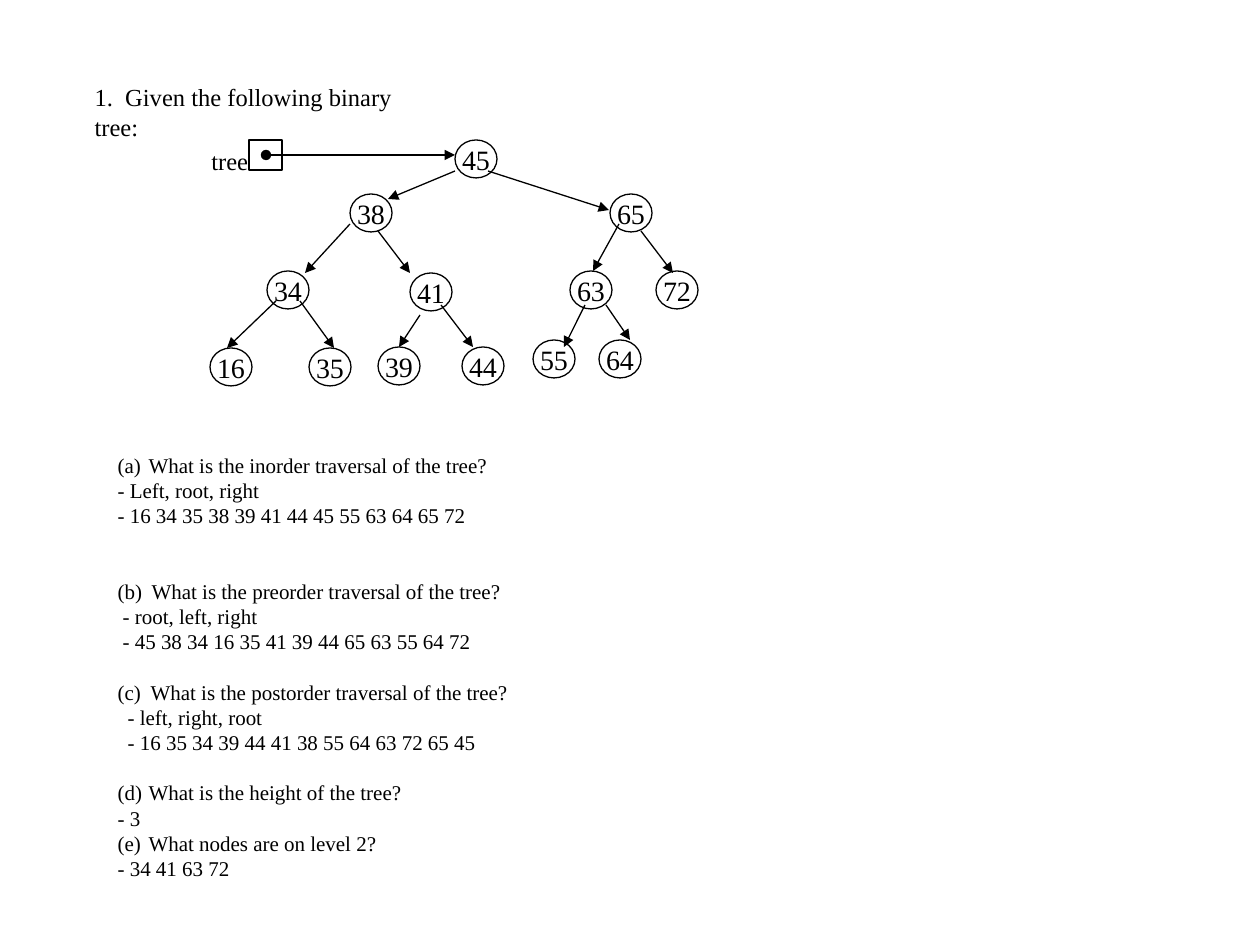
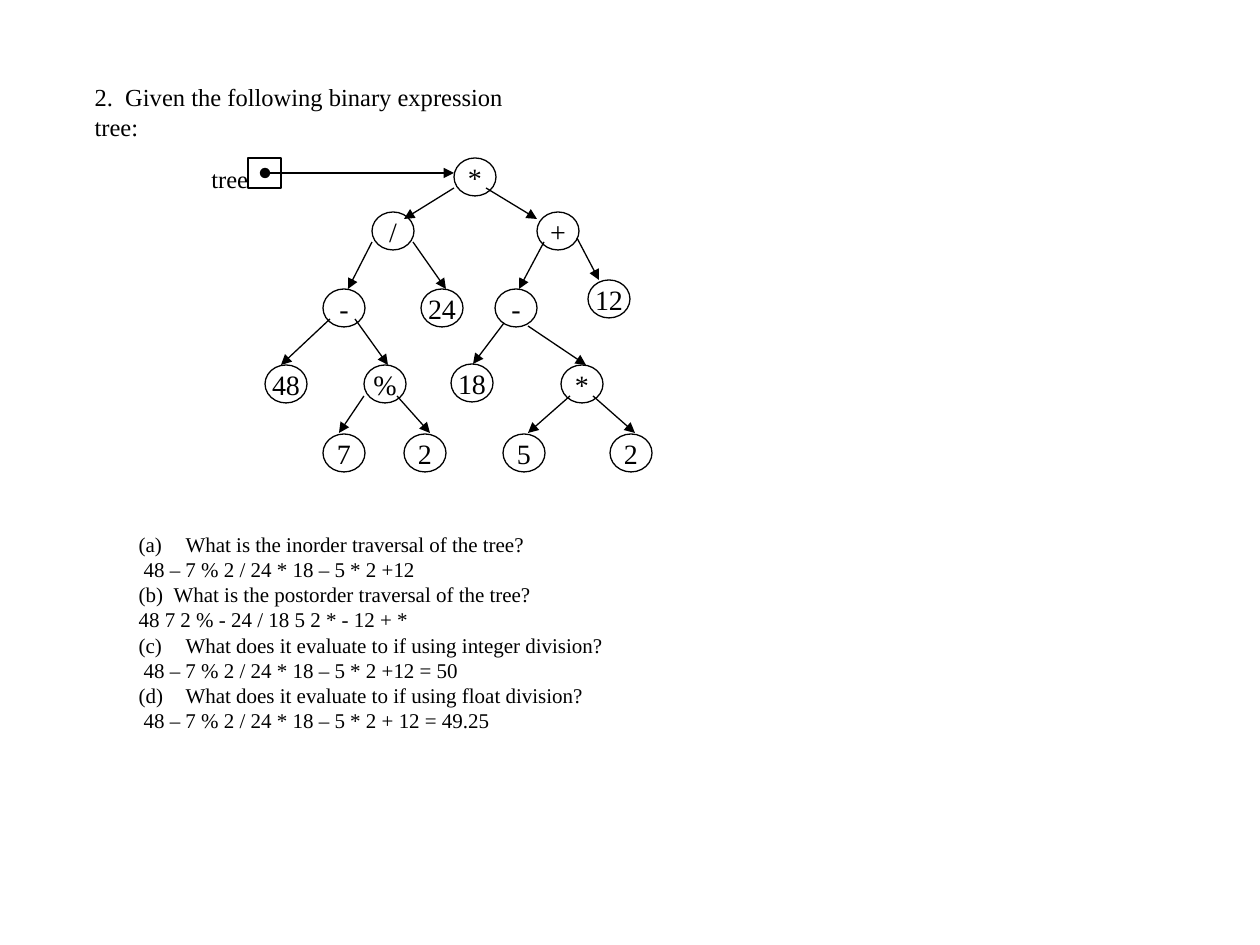
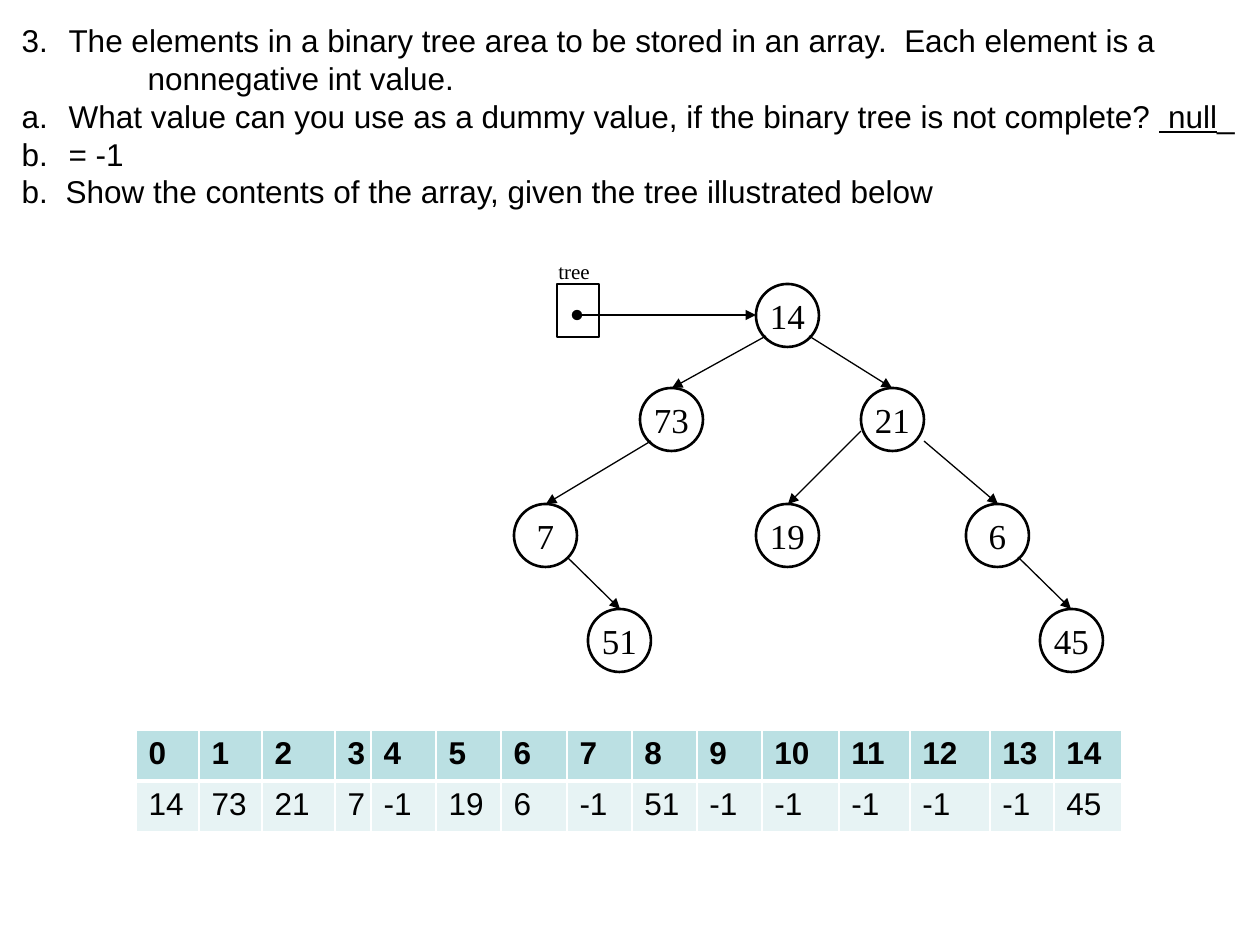
import collections

import lxml.etree
import pptx
import pptx.dml.color
import pptx.enum.shapes
import pptx.enum.text
import pptx.oxml.ns
import pptx.util

COLORS = {"ink": "000000", "paper": "FFFFFF", "header": "BBE0E3", "cell": "E7F3F4"}
SERIF, SANS = "Times New Roman", "Arial"
EMU_PER_PX = 914400 / 126
LEADING = 1.2  # line pitch as a multiple of the text size
ONE_SPACE = 5  # small indent of an answer line, in px

SHAPES = pptx.enum.shapes.MSO_SHAPE
ALIGN = pptx.enum.text.PP_ALIGN
ANCHOR = pptx.enum.text.MSO_ANCHOR

# One list line; number is 0 for a line without a label
Item = collections.namedtuple(
    "Item", "text number indent gap scheme", defaults=(0, 0, 0, "alphaLcParenBoth"))


def px(length):
    return pptx.util.Emu(round(length * EMU_PER_PX))


def rgb(name):
    return pptx.dml.color.RGBColor.from_string(COLORS[name])


def assign(target, **values):
    for name, value in values.items():
        setattr(target, name, value)


def add_xml(parent, tag, **attributes):
    return lxml.etree.SubElement(parent, pptx.oxml.ns.qn(tag), attributes)


class Worksheet:
    """Holds the deck, its style and the current page."""

    def __init__(self):
        self.deck = pptx.Presentation()
        assign(self.deck, slide_width=px(1260), slide_height=px(945))
        self.page = None

    def new_page(self):
        self.page = self.deck.slides.add_slide(self.deck.slide_layouts[1])

    # Text
    def add_span(self, para, text, size, font=SERIF, bold=False, underline=False):
        span = para.add_run()
        span.text = text
        assign(span.font, name=font, size=pptx.util.Pt(size), bold=bold, underline=underline)
        span.font.color.rgb = rgb("ink")

    def place(self, box, bounds):
        assign(box, **dict(zip(("left", "top", "width", "height"), map(px, bounds))))
        assign(box.text_frame, word_wrap=True, vertical_anchor=ANCHOR.TOP,
               auto_size=pptx.enum.text.MSO_AUTO_SIZE.NONE)
        return box.text_frame

    def space(self, para, size, gap=0):
        assign(para, alignment=ALIGN.LEFT, space_before=pptx.util.Pt(gap),
               line_spacing=pptx.util.Pt(size * LEADING))

    def heading(self, text, bounds, size=14):
        para = self.place(self.page.shapes.title, bounds).paragraphs[0]
        self.space(para, size)
        self.add_span(para, text, size)

    def remove_heading(self):
        element = self.page.shapes.title.element
        element.getparent().remove(element)

    def questions(self, items, bounds, size=12, font=SERIF):
        frame = self.place(self.page.placeholders[1], bounds)
        for index, item in enumerate(items):
            para = frame.add_paragraph() if index else frame.paragraphs[0]
            self.space(para, size, item.gap)
            properties = para._p.get_or_add_pPr()
            properties.set("marL", str(px(item.indent)))
            properties.set("indent", str(-px(item.indent) if item.number else 0))
            if item.number:
                add_xml(properties, "a:buFont", typeface=font)
                add_xml(properties, "a:buAutoNum", type=item.scheme, startAt=str(item.number))
            else:
                add_xml(properties, "a:buNone")
            spans = [(item.text, False)] if isinstance(item.text, str) else item.text
            for text, underline in spans:
                self.add_span(para, text, size, font, underline=underline)

    def label(self, text, left, top, size):
        box = self.page.shapes.add_textbox(px(left), px(top), px(62), px(42))
        box.text_frame.word_wrap = False
        self.add_span(box.text_frame.paragraphs[0], text, size)

    # Tree parts
    def outline(self, kind, bounds, weight=0.75):
        shape = self.page.shapes.add_shape(kind, *map(px, bounds))
        shape.shadow.inherit = False
        shape.fill.background()
        shape.line.color.rgb = rgb("ink")
        shape.line.width = pptx.util.Pt(weight)
        return shape

    def node(self, text, left, top, width, height, size, weight):
        frame = self.outline(SHAPES.OVAL, (left, top, width, height), weight).text_frame
        assign(frame, word_wrap=False, vertical_anchor=ANCHOR.MIDDLE,
               margin_left=0, margin_right=0, margin_top=0, margin_bottom=0)
        para = frame.paragraphs[0]
        para.alignment = ALIGN.CENTER
        self.add_span(para, text, size)

    def arrow(self, *ends, dot=False):
        line = self.page.shapes.add_connector(
            pptx.enum.shapes.MSO_CONNECTOR.STRAIGHT, *map(px, ends))
        line.line.color.rgb = rgb("ink")
        line.line.width = pptx.util.Pt(0.75)
        stroke = line.line._get_or_add_ln()
        if dot:
            add_xml(stroke, "a:headEnd", type="oval")
        add_xml(stroke, "a:tailEnd", type="triangle")
        add_xml(line._element.spPr, "a:effectLst")

    def tree(self, nodes, branches, width=42, height=38, size=16, weight=0.75):
        for text, left, top in nodes:
            self.node(text, left, top, width, height, size, weight)
        for ends in branches:
            self.arrow(*ends)

    def pointer(self, box, label, size, start, end, level):
        self.outline(SHAPES.RECTANGLE, box)
        self.label("tree", *label, size)
        self.arrow(start, level, end, level, dot=True)

    # Array
    def array(self, rows, widths, left, top, row_height):
        table = self.page.shapes.add_table(
            len(rows), len(widths), px(left), px(top),
            px(sum(widths)), px(row_height * len(rows))).table
        for column, width in zip(table.columns, widths):
            column.width = px(width)
        for r, values in enumerate(rows):
            table.rows[r].height = px(row_height)
            thick = "a:lnT" if r else "a:lnB"
            for c, value in enumerate(values):
                cell = table.cell(r, c)
                self.add_span(cell.text_frame.paragraphs[0], str(value), 18, SANS, bold=r == 0)
                self.borders(cell, thick)
                cell.fill.solid()
                cell.fill.fore_color.rgb = rgb("cell" if r else "header")

    def borders(self, cell, thick):
        properties = cell._tc.get_or_add_tcPr()
        for edge in ("a:lnL", "a:lnR", "a:lnT", "a:lnB"):
            weight = pptx.util.Pt(3 if edge == thick else 1)
            fill = add_xml(add_xml(properties, edge, w=str(weight)), "a:solidFill")
            add_xml(fill, "a:srgbClr", val=COLORS["paper"])


def search_tree_page(sheet):
    sheet.new_page()
    sheet.heading("1.  Given the following binary tree:", (82, 76, 370, 72))
    sheet.questions([
        Item("What is the inorder traversal of the tree?", 1, 31),
        Item("- Left, root, right"),
        Item("- 16 34 35 38 39 41 44 45 55 63 64 65 72"),
        Item("What is the preorder traversal of the tree?", 2, 34, 28.8),
        Item("- root, left, right", indent=ONE_SPACE),
        Item("- 45 38 34 16 35 41 39 44 65 63 55 64 72", indent=ONE_SPACE),
        Item("What is the postorder traversal of the tree?", 3, 33, 14.4),
        Item("- left, right, root", indent=2 * ONE_SPACE),
        Item("- 16 35 34 39 44 41 38 55 64 63 72 65 45", indent=2 * ONE_SPACE),
        Item("What is the height of the tree?", 4, 31, 14.4),
        Item("- 3"),
        Item("What nodes are on level 2?", 5, 31),
        Item("- 34 41 63 72"),
    ], (105, 446, 425, 471))
    sheet.tree(
        [("45", 455, 140), ("38", 350, 194), ("65", 610, 194),
         ("34", 267, 271), ("41", 410, 273), ("63", 570, 271), ("72", 656, 271),
         ("16", 210, 348), ("35", 309, 348), ("39", 378, 347), ("44", 462, 347),
         ("55", 533, 340), ("64", 599, 340)],
        [(455, 171, 388, 199), (488, 171, 609, 210),
         (350, 224, 305, 273), (378, 231, 410, 273),
         (619, 224, 593, 271), (641, 231, 673, 273),
         (276, 301, 227, 348), (300, 301, 334, 348),
         (420, 315, 399, 347), (441, 305, 473, 347),
         (585, 305, 564, 347), (606, 305, 630, 340)])
    sheet.pointer((249, 140, 33, 30), (199, 140), 14, 266, 455, 155)


def expression_tree_page(sheet):
    sheet.new_page()
    sheet.heading("2.  Given the following binary expression tree:", (82, 76, 481, 72))
    sheet.questions([
        Item("What is the inorder traversal of the tree?", 1, 47),
        Item("48 – 7 % 2 / 24 * 18 – 5 * 2 +12", indent=ONE_SPACE),
        Item("What is the postorder traversal of the tree?", 2, 35),
        Item("48 7 2 % - 24 / 18 5 2 * - 12 + *"),
        Item("What does it evaluate to if using integer division?", 3, 47),
        Item("48 – 7 % 2 / 24 * 18 – 5 * 2 +12 = 50", indent=ONE_SPACE),
        Item("What does it evaluate to if using float division?", 4, 47),
        Item("48 – 7 % 2 / 24 * 18 – 5 * 2 + 12 = 49.25", indent=ONE_SPACE),
    ], (126, 525, 496, 267))
    sheet.tree(
        [("*", 454, 158), ("/", 372, 212), ("+", 537, 212),
         ("-", 323, 289), ("24", 421, 289), ("-", 495, 289), ("12", 588, 280),
         ("48", 265, 365), ("%", 364, 365), ("18", 451, 364), ("*", 561, 365),
         ("7", 323, 434), ("2", 404, 434), ("5", 503, 434), ("2", 610, 434)],
        [(454, 188, 404, 219), (486, 188, 537, 219),
         (372, 242, 348, 289), (413, 242, 446, 289),
         (544, 242, 519, 289), (577, 238, 599, 280),
         (330, 319, 281, 365), (355, 319, 388, 365),
         (504, 323, 473, 364), (528, 326, 586, 365),
         (364, 396, 339, 433), (397, 396, 430, 433),
         (570, 396, 528, 433), (593, 396, 635, 433)])
    sheet.pointer((248, 158, 33, 30), (199, 158), 14, 265, 454, 173)


def array_page(sheet):
    sheet.new_page()
    sheet.remove_heading()
    dummy_question = [
        ("What value can you use as a dummy value, if the binary tree is not complete? ", False),
        (" null", True), ("_", False)]
    sheet.questions([
        Item("The elements in a binary tree area to be stored in an array.  Each element is a",
             3, 47, scheme="arabicPeriod"),
        Item("nonnegative int value.", indent=126),
        Item(dummy_question, 1, 47, scheme="alphaLcPeriod"),
        Item("= -1", 1, 47, scheme="alphaLcPeriod"),
        Item("Show the contents of the array, given the tree illustrated below",
             2, 44, scheme="alphaLcPeriod"),
    ], (9, 15, 1259, 204), size=18, font=SANS)
    sheet.tree(
        [("14", 756, 284), ("73", 640, 388), ("21", 861, 388),
         ("7", 514, 504), ("19", 756, 504), ("6", 966, 504),
         ("51", 588, 609), ("45", 1040, 609)],
        [(766, 336, 672, 388), (809, 336, 892, 388),
         (651, 441, 546, 504), (861, 431, 788, 504), (924, 441, 998, 504),
         (567, 557, 620, 609), (1018, 557, 1071, 609)],
        width=63, height=63, size=20, weight=1.5)
    sheet.pointer((557, 284, 42, 53), (546, 252), 12, 577, 756, 315)
    contents = [14, 73, 21, 7, -1, 19, 6, -1, 51, -1, -1, -1, -1, -1, 45]
    widths = [63, 63, 73, 36, 65, 65, 66, 65, 65, 65, 77, 71, 80, 64, 68]
    sheet.array([range(len(contents)), contents], widths, 136, 730, 51)


def main():
    sheet = Worksheet()
    search_tree_page(sheet)
    expression_tree_page(sheet)
    array_page(sheet)
    sheet.deck.save("out.pptx")


if __name__ == "__main__":
    main()
